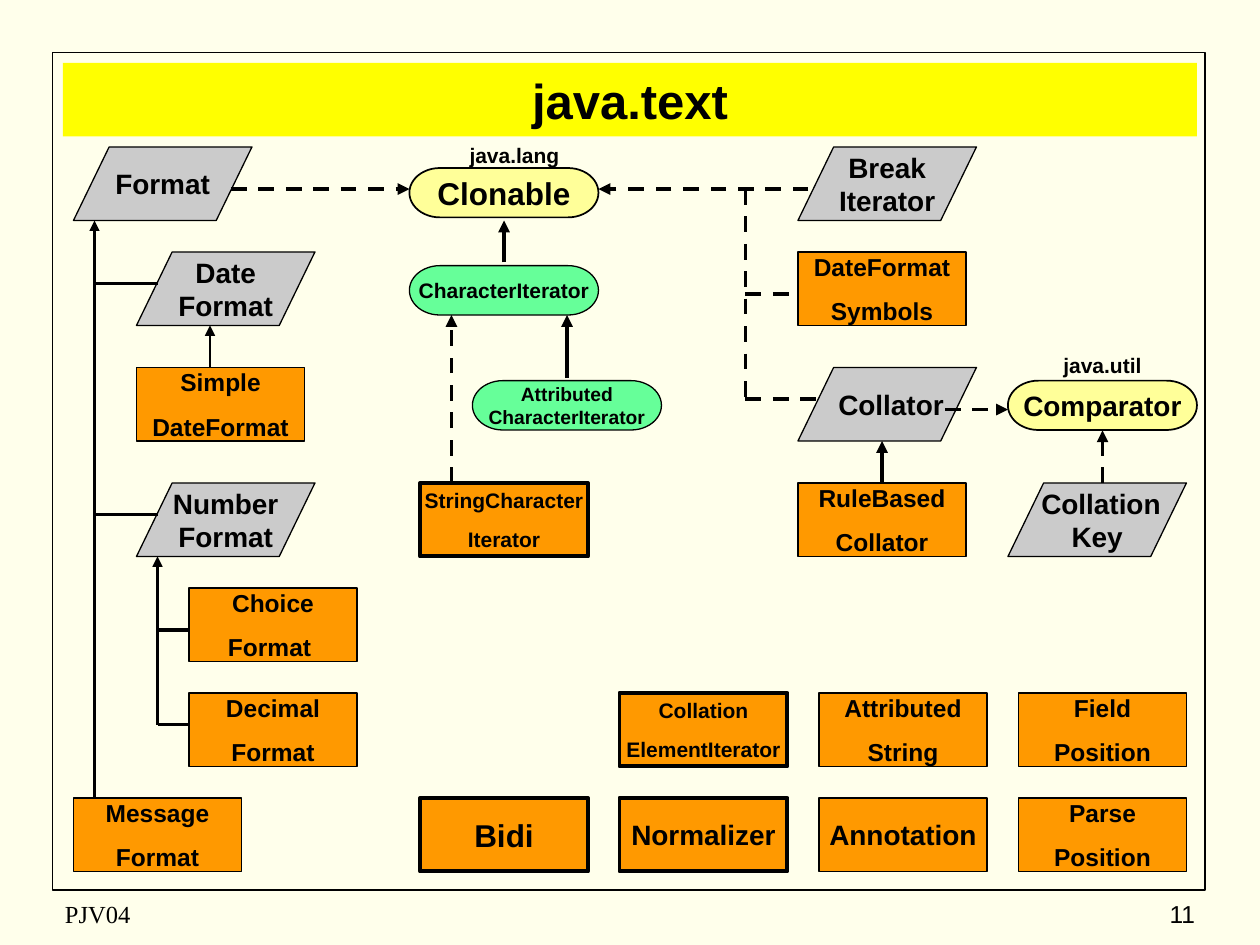
"""Draw the class hierarchy of java.text on a grid of twelfths of an inch."""
import pptx
import pptx.dml.color
import pptx.enum.dml
import pptx.enum.shapes
import pptx.enum.text
import pptx.oxml
import pptx.oxml.ns
import pptx.util
from dataclasses import dataclass

SHAPE = pptx.enum.shapes.MSO_SHAPE
ALIGN = pptx.enum.text.PP_ALIGN
ANCHOR = pptx.enum.text.MSO_ANCHOR


@dataclass(frozen=True)
class Theme:
    ink: str = "000000"
    page: str = "FFFFEB"
    banner: str = "FFFF00"
    abstract: str = "CBCBCB"
    concrete: str = "FF9900"
    interface: str = "66FF99"
    foreign: str = "FFFF99"
    font: str = "Arial"
    footer_font: str = "Times New Roman"
    title: int = 28
    footer: int = 14
    label: int = 12
    hairline: float = 0.75
    thin: float = 1
    medium: float = 1.5
    thick: float = 2.25


THEME = Theme()
TITLE = "java.text"
FOOTERS = [
    ("PJV04", (5, 85, 38, 4), ALIGN.LEFT, THEME.footer_font),
    ("11", (90, 85, 25, 4), ALIGN.RIGHT, THEME.font),
]
PACKAGES = [("java.lang", 43, 13), ("java.util", 99, 33)]

KINDS = {
    "abstract": (SHAPE.FLOWCHART_DATA, 17, 7, THEME.abstract, THEME.hairline, 0),
    "concrete": (SHAPE.RECTANGLE, 16, 7, THEME.concrete, THEME.hairline, 0.625),
    "bold": (SHAPE.RECTANGLE, 16, 7, THEME.concrete, THEME.thick, 0.625),
    "interface": (SHAPE.FLOWCHART_TERMINATOR, 18, 4.7, THEME.interface, THEME.hairline, 0),
    "foreign": (SHAPE.FLOWCHART_TERMINATOR, 18, 4.7, THEME.foreign, THEME.thin, 0),
}
CLASSES = {
    "abstract": [
        ("Format", 7, 14, 16),
        ("Break\nIterator", 76, 14, 16),
        ("Date\nFormat", 13, 24, 16),
        (" Collator", 76, 35, 16),
        ("Number\nFormat", 13, 46, 16),
        (" Collation\nKey", 96, 46, 16),
    ],
    "concrete": [
        ("DateFormat\nSymbols", 76, 24, 14),
        ("Simple\nDateFormat", 13, 35, 14),
        ("RuleBased\nCollator", 76, 46, 14),
        ("Choice\nFormat ", 18, 56, 14),
        ("Decimal\nFormat", 18, 66, 14),
        ("Attributed\nString", 78, 66, 14),
        ("Field\nPosition", 97, 66, 14),
        ("Message\nFormat", 7, 76, 14),
        ("Annotation", 78, 76, 16),
        ("Parse\nPosition", 97, 76, 14),
    ],
    "bold": [
        ("StringCharacter\nIterator", 40, 46, 12),
        ("Collation\nElementIterator", 59, 66, 12),
        ("Bidi", 40, 76, 18),
        ("Normalizer", 59, 76, 16),
    ],
    "interface": [
        ("CharacterIterator", 39, 25.3, 12),
        ("Attributed\nCharacterIterator", 45, 36.25, 11),
    ],
    "foreign": [
        ("Clonable", 39, 16, 18),
        ("Comparator", 96, 36.25, 16),
    ],
}

LINKS = [
    (THEME.thick, False, True, [
        (48, 25, 48, 21), (54, 36, 54, 30), (84, 46, 84, 42)]),
    (THEME.medium, False, True, [
        (9, 76, 9, 21), (15, 69, 15, 53), (20, 35, 20, 31)]),
    (THEME.thick, False, False, [
        (9, 27, 15, 27), (9, 49, 15, 49), (15, 60, 18, 60), (15, 69, 18, 69)]),
    (THEME.thick, True, True, [
        (43, 46, 43, 30), (90, 39, 96, 39), (22, 18, 39, 18),
        (77, 18, 57, 18), (105, 46, 105, 41)]),
    (THEME.thick, True, False, [
        (71, 18, 71, 38), (71, 28, 76, 28), (71, 38, 78, 38)]),
]


def grid(*units):
    return [pptx.util.Inches(unit / 12) for unit in units]


def colour(code):
    return pptx.dml.color.RGBColor.from_string(code)


def write(box, text, size, bold=True, font=THEME.font, align=ALIGN.CENTER,
          anchor=ANCHOR.MIDDLE, wrap=True, gap=0):
    frame = box.text_frame
    frame.text = text
    frame.word_wrap = wrap
    frame.vertical_anchor = anchor
    frame.margin_left = frame.margin_right = pptx.util.Inches(0.1)
    frame.margin_top = frame.margin_bottom = pptx.util.Inches(0.05)
    for index, para in enumerate(frame.paragraphs):
        para.alignment = align
        if index and gap:
            para.space_before = pptx.util.Pt(round(gap, 1))
        for span in para.runs:
            span.font.name = font
            span.font.size = pptx.util.Pt(size)
            span.font.bold = bold
            span.font.color.rgb = colour(THEME.ink)


def draw_shape(page, preset, place, fill=None, width=None):
    shape = page.shapes.add_shape(preset, *grid(*place))
    shape.shadow.inherit = False
    if fill:
        shape.fill.solid()
        shape.fill.fore_color.rgb = colour(fill)
    else:
        shape.fill.background()
    if width:
        shape.line.color.rgb = colour(THEME.ink)
        shape.line.width = pptx.util.Pt(width)
    else:
        shape.line.fill.background()
    return shape


def draw_link(page, ends, width, dashed, arrow):
    link = page.shapes.add_connector(pptx.enum.shapes.MSO_CONNECTOR.STRAIGHT, *grid(*ends))
    link.line.color.rgb = colour(THEME.ink)
    link.line.width = pptx.util.Pt(width)
    if dashed:
        link.line.dash_style = pptx.enum.dml.MSO_LINE.DASH
    if arrow:
        outline = link.line._get_or_add_ln()
        outline.append(pptx.oxml.parse_xml(
            f'<a:tailEnd {pptx.oxml.ns.nsdecls("a")} type="triangle"/>'))
    link._element.spPr.append(pptx.oxml.parse_xml(
        f'<a:effectLst {pptx.oxml.ns.nsdecls("a")}/>'))


def main():
    deck = pptx.Presentation()
    deck.slide_width, deck.slide_height = grid(120, 90)
    page = deck.slides.add_slide(deck.slide_layouts[6])
    page.background.fill.solid()
    page.background.fill.fore_color.rgb = colour(THEME.page)

    draw_shape(page, SHAPE.RECTANGLE, (5, 5, 109.8, 79.8), width=THEME.thin)
    write(draw_shape(page, SHAPE.RECTANGLE, (6, 6, 108, 7), THEME.banner), TITLE, THEME.title)
    for text, place, align, font in FOOTERS:
        box = page.shapes.add_textbox(*grid(*place))
        write(box, text, THEME.footer, bold=False, font=font, align=align)

    for kind, classes in CLASSES.items():
        preset, wide, high, fill, width, gap = KINDS[kind]
        for name, left, top, size in classes:
            box = draw_shape(page, preset, (left, top, wide, high), fill, width)
            write(box, name, size, wrap=False, gap=gap * size)
    for name, left, top in PACKAGES:
        box = page.shapes.add_textbox(*grid(left, top, 12, 3.6))
        write(box, name, THEME.label, anchor=ANCHOR.TOP)
    for width, dashed, arrow, group in LINKS:
        for ends in group:
            draw_link(page, ends, width, dashed, arrow)

    deck.save("out.pptx")


if __name__ == "__main__":
    main()
